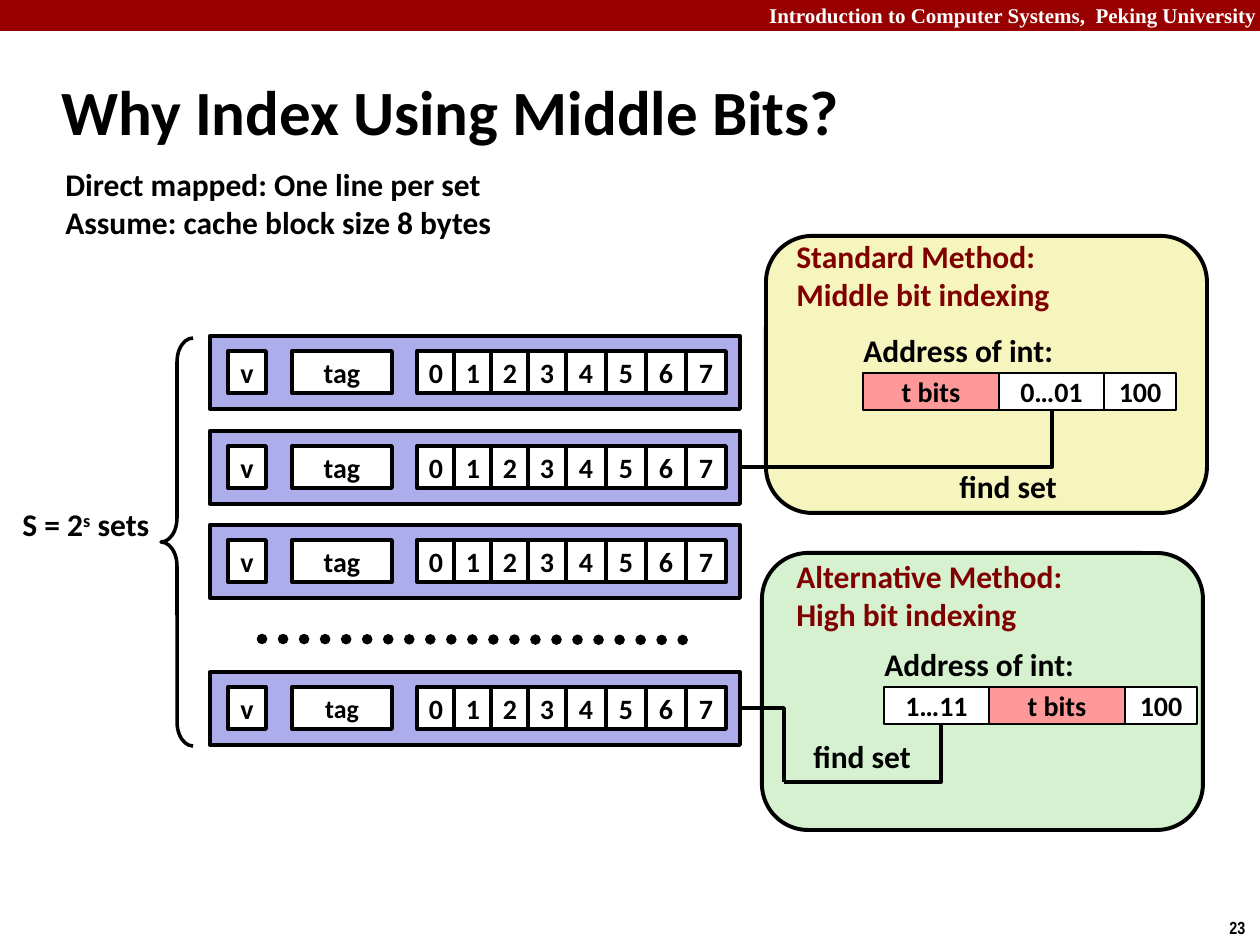
from dataclasses import dataclass
from typing import Any

from lxml.etree import SubElement
from pptx import Presentation
from pptx.dml.color import RGBColor as RGB
from pptx.enum.dml import MSO_LINE as Dash
from pptx.enum.shapes import MSO_CONNECTOR as Conn, MSO_SHAPE as Form
from pptx.enum.text import MSO_ANCHOR as Anchor, MSO_AUTO_SIZE as Auto, PP_ALIGN as Align
from pptx.oxml.ns import qn
from pptx.util import Emu, Pt

SCALE = 914400 / 126


@dataclass(frozen=True)
class Theme:
    black: str = "000000"
    white: str = "FFFFFF"
    banner: str = "990000"
    head: str = "800000"
    row: str = "ADADEB"
    tag: str = "FF9999"
    cream: str = "F6F5BD"
    mint: str = "D5F1CF"
    body: str = "Calibri"
    serif: str = "Times New Roman"
    narrow: str = "Arial Narrow"
    title: float = 36
    text: float = 18
    cell: float = 16
    small: float = 14.8
    run: float = 12
    page: float = 10


@dataclass(frozen=True)
class Box:
    x: int
    y: int
    w: int
    h: int


@dataclass(frozen=True)
class Line:
    """One cache line; the tag label may be set smaller."""
    y: int
    size: float


@dataclass(frozen=True)
class Field:
    label: str
    w: int
    fill: str


@dataclass(frozen=True)
class Panel:
    box: Box
    fill: str
    head: tuple[str, str]
    text: Box
    bits: tuple[int, int]
    fields: tuple[Field, ...]
    find: tuple[int, int]
    elbows: tuple[tuple[int, int, int, int], ...]


T = Theme()
LINES = (Line(336, T.cell), Line(431, T.cell), Line(525, T.cell), Line(672, T.small))
TAG = Field("t bits", 136, T.tag)
LOW = Field("100", 72, T.white)
PANELS = (
    Panel(Box(766, 236, 441, 277), T.cream, ("Standard Method:", "Middle bit indexing"),
          Box(784, 231, 420, 89), (863, 373), (TAG, Field("0…01", 105, T.white), LOW),
          (947, 461), ((741, 467, 1052, 410),)),
    Panel(Box(762, 553, 441, 277), T.mint, ("Alternative Method:", "High bit indexing"),
          Box(784, 551, 295, 89), (884, 687), (Field("1…11", 105, T.white), TAG, LOW),
          (801, 731), ((784, 782, 941, 725), (741, 708, 784, 782))),
)


def px(*nums: int) -> list[Emu]:
    return [Emu(round(n * SCALE)) for n in nums]


def style(para: Any, size: float, color: str = T.black, face: str = T.body) -> None:
    font = para.font
    font.name, font.size, font.bold = face, Pt(size), True
    font.color.rgb = RGB.from_string(color)


def block(shapes: Any, box: Box, fill: str | None, width: float = 0,
          form: Form = Form.RECTANGLE) -> Any:
    """Add a preset shape; no fill or no outline when left empty."""
    shape = shapes.add_shape(form, *px(box.x, box.y, box.w, box.h))
    shape.shadow.inherit = False
    if fill:
        shape.fill.solid()
        shape.fill.fore_color.rgb = RGB.from_string(fill)
    else:
        shape.fill.background()
    if width:
        shape.line.width = Pt(width)
        shape.line.color.rgb = RGB.from_string(T.black)
    else:
        shape.line.fill.background()
    return shape


def cell(shapes: Any, box: Box, label: str, fill: str = T.white,
         width: float = 2.25, size: float = T.cell) -> None:
    frame = block(shapes, box, fill, width).text_frame
    frame.word_wrap = False
    frame.vertical_anchor = Anchor.MIDDLE
    para = frame.paragraphs[0]
    para.text, para.alignment = label, Align.CENTER
    style(para, size)


def label(shapes: Any, box: Box, *rows: str, size: float = T.text, color: str = T.black,
          face: str = T.body, wrap: bool = False, align: Align = Align.LEFT) -> Any:
    frame = shapes.add_textbox(*px(box.x, box.y, box.w, box.h)).text_frame
    frame.word_wrap, frame.auto_size = wrap, Auto.SHAPE_TO_FIT_TEXT
    frame.text = "\n".join(rows)
    for para in frame.paragraphs:
        para.alignment = align
        style(para, size, color, face)
    return frame


def link(shapes: Any, ends: tuple[int, int, int, int], width: float, kind: Conn) -> Any:
    wire = shapes.add_connector(kind, *px(*ends))
    wire.line.width = Pt(width)
    wire.line.color.rgb = RGB.from_string(T.black)
    SubElement(wire._element.spPr, qn("a:effectLst"))
    return wire


def elbow(shapes: Any, ends: tuple[int, int, int, int]) -> None:
    """Run level from the first point, then turn once to the second."""
    wire = link(shapes, ends, 2, Conn.ELBOW)
    wire._element.spPr.find(qn("a:prstGeom")).set("prst", "bentConnector2")


def draw_line(shapes: Any, line: Line) -> None:
    block(shapes, Box(210, line.y, 530, 73), T.row, 2.25)
    top = line.y + 15
    cell(shapes, Box(228, top, 38, 42), "v")
    cell(shapes, Box(292, top, 100, 42), "tag", size=line.size)
    for i in range(4):
        cell(shapes, Box(417 + 37 * i, top, 38, 42), str(i))
    for i in range(4):
        cell(shapes, Box(566 + 40 * i, top, 40, 42), str(i + 4))


def draw_panel(shapes: Any, panel: Panel) -> None:
    block(shapes, panel.box, panel.fill, 2.25, Form.ROUNDED_RECTANGLE)
    x, y = panel.bits
    label(shapes, Box(x - 12, y - 48, 217, 50), "Address of int:")
    for part in panel.fields:
        cell(shapes, Box(x, y, part.w, 37), part.label, part.fill, 1)
        x += part.w
    label(shapes, Box(*panel.find, 123, 50), "find set")
    label(shapes, panel.text, *panel.head, color=T.head)
    for ends in panel.elbows:
        elbow(shapes, ends)


def main() -> None:
    deck = Presentation()
    deck.slide_width, deck.slide_height = px(1260, 945)
    shapes = deck.slides.add_slide(deck.slide_layouts[6]).shapes

    block(shapes, Box(0, 0, 1260, 31), T.banner)
    label(shapes, Box(756, -4, 513, 38), "Introduction to Computer Systems,  Peking University",
          size=T.run, color=T.white, face=T.serif, wrap=True, align=Align.RIGHT)
    label(shapes, Box(1217, 911, 43, 34), "23", size=T.page, face=T.narrow)
    label(shapes, Box(49, 66, 1046, 95), "Why Index Using Middle Bits?", size=T.title, wrap=True)
    label(shapes, Box(53, 159, 455, 89), "Direct mapped: One line per set",
          "Assume: cache block size 8 bytes")

    brace = block(shapes, Box(161, 338, 32, 408), None, 2, Form.LEFT_BRACE)
    brace.adjustments[0] = 0.75
    count = label(shapes, Box(10, 499, 155, 50), "S = 2").paragraphs[0]
    power = count.add_run()
    power.text = "s"
    power._r.get_or_add_rPr().set("baseline", "30000")
    count.add_run().text = " sets"

    dots = link(shapes, (262, 639, 693, 640), 6, Conn.STRAIGHT)
    dots.line.dash_style = Dash.ROUND_DOT
    dots.line._get_or_add_ln().set("cap", "rnd")
    for line in LINES:
        draw_line(shapes, line)
    for panel in PANELS:
        draw_panel(shapes.add_group_shape().shapes, panel)
    deck.save("out.pptx")


if __name__ == "__main__":
    main()
